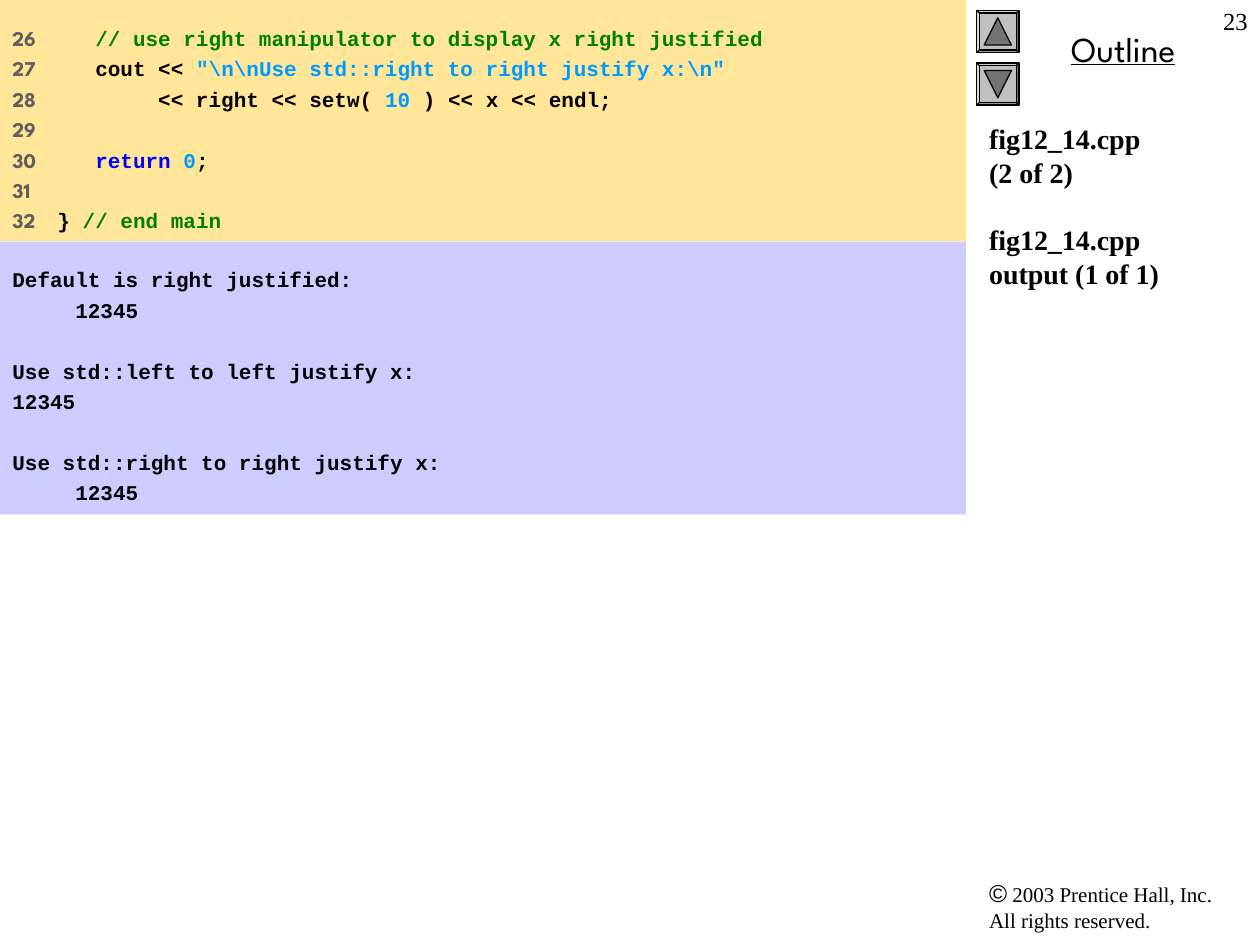
from pptx import Presentation
from pptx import util as u
from pptx.dml.color import RGBColor
from pptx.enum import shapes, text
from pptx.oxml import parse_xml
from pptx.oxml.ns import nsdecls

SANS, SERIF, MONO = "League Spartan", "Times New Roman", "Courier New"
BLACK, GREY, GREEN, BLUE, KEYWORD = "000000", "5F5F5F", "008000", "0099FF", "0000FF"
SIDE = 19.69
PANEL_WIDTH = 19.48
CODE_TAB = 0.91
BLANK_LINE = 20.4

CODE = [
    ("26", [("   // use right manipulator to display x right justified", GREEN)]),
    ("27", [("   cout << ", BLACK), (r'"\n\nUse std::right to right justify x:\n"', BLUE)]),
    ("28", [("        << right << setw( ", BLACK), ("10", BLUE), (" ) << x << endl;", BLACK)]),
    ("29", []),
    ("30", [("   return ", KEYWORD), ("0", BLUE), (";", BLACK)]),
    ("31", []),
    ("32", [("} ", BLACK), ("// end main", GREEN)]),
]
OUTPUT = [
    ["Default is right justified:", "     12345"],
    ["Use std::left to left justify x:", "12345"],
    ["Use std::right to right justify x:", "     12345"],
]


def color(value):
    """Turn a hex string into a colour."""
    return RGBColor.from_string(value)


def apply(target, values):
    """Set every attribute named in a dict."""
    for name, value in values.items():
        setattr(target, name, value)


def add_run(paragraph, content, font, size, fill, **extra):
    """Append one formatted run, with line breaks for newlines."""
    for index, line in enumerate(content.split("\n")):
        if index:
            paragraph.add_line_break()
        run = paragraph.add_run()
        run.text = line
        apply(run.font, {"name": font, "size": u.Pt(size), **extra})
        run.font.color.rgb = color(fill)


def add_paragraph(frame, index, space=0, align=text.PP_ALIGN.LEFT):
    """Return the paragraph at an index, spaced from the one before."""
    paragraph = frame.add_paragraph() if index else frame.paragraphs[0]
    apply(paragraph, {"alignment": align, "space_before": u.Pt(space if index else 0)})
    return paragraph


def add_tab(paragraph, position):
    """Give a paragraph one left tab stop."""
    properties = paragraph._p.get_or_add_pPr()
    properties.append(parse_xml(
        f'<a:tabLst {nsdecls("a")}><a:tab pos="{u.Cm(position)}" algn="l"/></a:tabLst>'))


def add_text_box(slide, left, top, width, height):
    """Add a wrapping text box and return its frame."""
    box = slide.shapes.add_textbox(*map(u.Cm, (left, top, width, height)))
    box.text_frame.word_wrap = True
    return box.text_frame


def add_filled(slide, kind, left, top, width, height, fill, line=None):
    """Add a flat preset shape."""
    shape = slide.shapes.add_shape(kind, *map(u.Cm, (left, top, width, height)))
    shape.shadow.inherit = False
    shape.fill.solid()
    shape.fill.fore_color.rgb = color(fill)
    if line:
        shape.line.color.rgb = color(line)
        shape.line.width = u.Pt(0.75)
    else:
        shape.line.fill.background()
    return shape


def add_panel(slide, top, height, fill):
    """Add a listing panel and return its text frame."""
    panel = add_filled(slide, shapes.MSO_SHAPE.RECTANGLE, 0, top, PANEL_WIDTH, height, fill)
    apply(panel.text_frame, {
        "word_wrap": True, "vertical_anchor": text.MSO_ANCHOR.TOP,
        "margin_top": u.Cm(0.51), "margin_bottom": u.Cm(0.51)})
    return panel.text_frame


def add_code(frame):
    """Fill a frame with numbered, coloured code lines."""
    for index, (number, parts) in enumerate(CODE):
        paragraph = add_paragraph(frame, index, 3)
        add_tab(paragraph, CODE_TAB)
        add_run(paragraph, number + ("\t" if parts else ""), SANS, 12, GREY, bold=True)
        for content, fill in parts:
            add_run(paragraph, content, MONO, 12, fill, bold=True)


def add_output(frame):
    """Fill a frame with groups of program output."""
    lines = [(line, BLANK_LINE if first else 3)
             for group in OUTPUT for line, first in zip(group, (True, False))]
    for index, (line, space) in enumerate(lines):
        add_run(add_paragraph(frame, index, space), line, MONO, 12, BLACK, bold=True)


def add_button(slide, top, rotation):
    """Add a bevelled button with a triangle."""
    bevel = add_filled(slide, shapes.MSO_SHAPE.BEVEL, SIDE, top, 0.85, 0.85, "C0C0C0", BLACK)
    bevel.adjustments[0] = 0.06
    triangle = add_filled(slide, shapes.MSO_SHAPE.ISOSCELES_TRIANGLE,
                          SIDE + 0.15, top + 0.15, 0.55, 0.55, "737373", BLACK)
    triangle.rotation = rotation


def main():
    """Build the slide and save it."""
    presentation = Presentation()
    apply(presentation, {"slide_width": u.Cm(25.4), "slide_height": u.Cm(19.05)})
    slide = presentation.slides.add_slide(presentation.slide_layouts[6])

    footer = add_paragraph(add_text_box(slide, SIDE, 17.58, 5.51, 1.37), 0)
    add_run(footer, "©", "Arial", 14, BLACK)
    add_run(footer, " 2003 Prentice Hall, Inc.\nAll rights reserved.", SERIF, 12, BLACK)

    outline = add_paragraph(add_text_box(slide, 19.89, 0.43, 5.51, 1.12), 0,
                            align=text.PP_ALIGN.CENTER)
    add_run(outline, "Outline", SANS, 20, BLACK, underline=True)

    for top, rotation in ((0.21, 0), (1.27, 180)):
        add_button(slide, top, rotation)

    number = add_paragraph(add_text_box(slide, 24.13, 0, 1.27, 1.27), 0,
                           align=text.PP_ALIGN.RIGHT)
    add_run(number, "23", SERIF, 14, BLACK)

    title = add_text_box(slide, SIDE, 2.33, 5.71, 13.34)
    for index, content in enumerate(("fig12_14.cpp\n(2 of 2)", "fig12_14.cpp\noutput (1 of 1)")):
        add_run(add_paragraph(title, index, 19.2), content, SERIF, 16, BLACK, bold=True)

    add_code(add_panel(slide, 0, 4.87, "FFE699"))
    add_output(add_panel(slide, 4.87, 5.5, "CCCCFF"))
    presentation.save("out.pptx")


if __name__ == "__main__":
    main()
